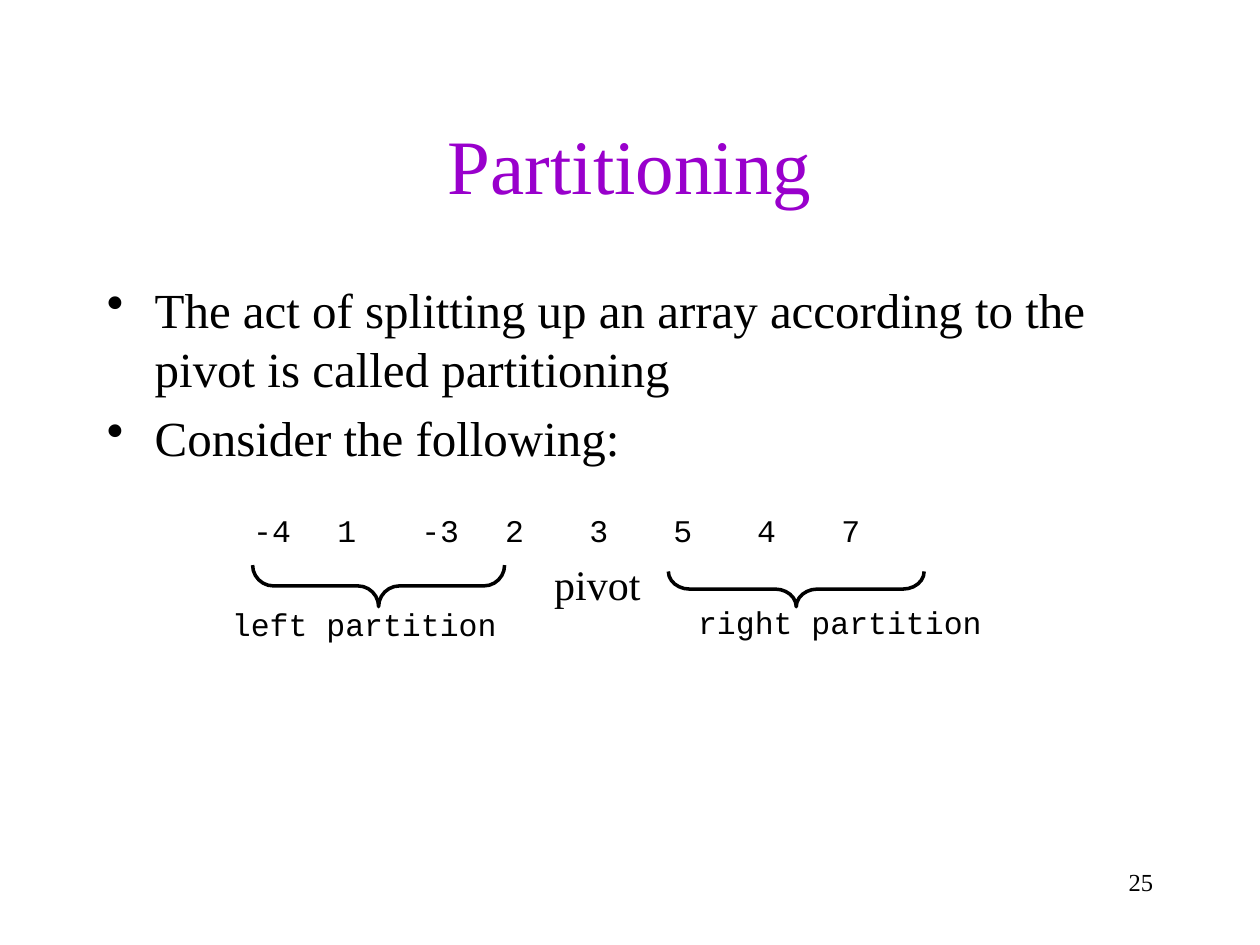
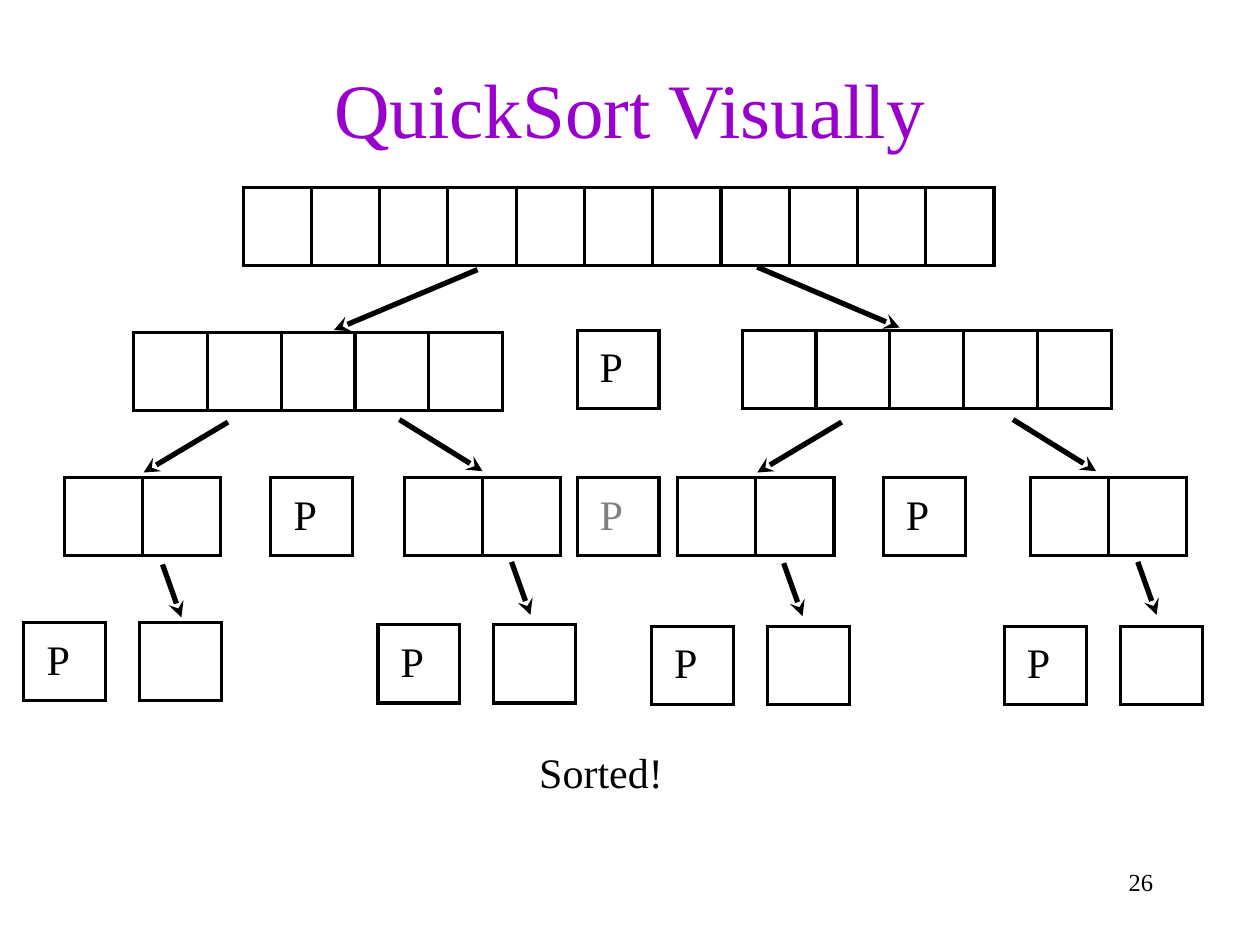
from typing import NamedTuple

from lxml.etree import SubElement
from pptx import Presentation
from pptx.dml.color import RGBColor
from pptx.enum.shapes import MSO_CONNECTOR, MSO_SHAPE
from pptx.enum.text import MSO_ANCHOR, PP_ALIGN
from pptx.oxml.ns import qn
from pptx.slide import Slide
from pptx.text.text import TextFrame
from pptx.util import Inches, Pt

BLACK, WHITE, PURPLE, GRAY = "000000", "FFFFFF", "9900CC", "808080"
SERIF, MONO = "Times New Roman", "Courier New"
CELL_HEIGHT = 0.62
PIVOT_WIDTH = 0.65


class TextStyle(NamedTuple):
    """Look of a text frame."""
    size: float
    font: str = SERIF
    color: str = BLACK
    align: PP_ALIGN = PP_ALIGN.LEFT
    anchor: MSO_ANCHOR = MSO_ANCHOR.MIDDLE
    inset: bool = False
    wrap: bool = True


class Strip(NamedTuple):
    """A row of equal array cells."""
    left: float
    top: float
    width: float
    cells: int


class Pivot(NamedTuple):
    """A single cell marked P."""
    left: float
    top: float
    color: str = BLACK


class Arrow(NamedTuple):
    """An arrow from a parent array to a part of it."""
    x1: float
    y1: float
    x2: float
    y2: float


class Brace(NamedTuple):
    """A downward brace, given by its unrotated frame."""
    left: float
    top: float
    width: float
    height: float
    curve: float


TITLE = TextStyle(44, color=PURPLE, align=PP_ALIGN.CENTER, inset=True)
BODY = TextStyle(28, anchor=MSO_ANCHOR.TOP, inset=True)
NUMBER = TextStyle(14, align=PP_ALIGN.RIGHT, anchor=MSO_ANCHOR.TOP, inset=True)
CODE = TextStyle(18, MONO)
LABEL = TextStyle(24)


def rgb(color: str) -> RGBColor:
    """Turn a hex string into a colour."""
    return RGBColor.from_string(color)


def fill_text(tf: TextFrame, text: str, style: TextStyle) -> None:
    """Write text, one paragraph a line, in the given style."""
    tf.text = text
    tf.word_wrap = style.wrap
    tf.vertical_anchor = style.anchor
    if not style.inset:
        tf.margin_left = tf.margin_right = tf.margin_top = tf.margin_bottom = 0
    for p in tf.paragraphs:
        p.alignment = style.align
        for r in p.runs:
            r.font.size = Pt(style.size)
            r.font.name = style.font
            r.font.color.rgb = rgb(style.color)


def add_text(s: Slide, text: str, left: float, top: float, width: float,
             height: float, style: TextStyle) -> TextFrame:
    """Add a text box."""
    sp = s.shapes.add_textbox(Inches(left), Inches(top), Inches(width), Inches(height))
    fill_text(sp.text_frame, text, style)
    return sp.text_frame


def add_bullets(s: Slide, items: list[str]) -> None:
    """Add the bulleted body text."""
    tf = add_text(s, "\n".join(items), 0.75, 2.17, 8.5, 4.5, BODY)
    for i, p in enumerate(tf.paragraphs):
        pPr = p._p.get_or_add_pPr()
        pPr.set("marL", str(Inches(0.38)))
        pPr.set("indent", str(-Inches(0.38)))
        SubElement(pPr, qn("a:buChar")).set("char", "•")
        if i:
            p.space_before = Pt(5.6)


def add_value(s: Slide, text: str, left: float, top: float, width: float,
              height: float) -> None:
    """Add one array value in a white-edged box."""
    sp = s.shapes.add_shape(MSO_SHAPE.RECTANGLE, Inches(left), Inches(top),
                            Inches(width), Inches(height))
    sp.shadow.inherit = False
    sp.fill.background()
    sp.line.color.rgb = rgb(WHITE)
    sp.line.width = Pt(1)
    fill_text(sp.text_frame, text, CODE)


def add_brace(s: Slide, brace: Brace) -> None:
    """Add a brace that points down."""
    sp = s.shapes.add_shape(MSO_SHAPE.LEFT_BRACE, Inches(brace.left), Inches(brace.top),
                            Inches(brace.width), Inches(brace.height))
    sp.rotation = 270
    sp.adjustments[0] = brace.curve
    sp.shadow.inherit = False
    sp.fill.background()
    sp.line.color.rgb = rgb(BLACK)
    sp.line.width = Pt(2)


def add_strip(s: Slide, strip: Strip) -> None:
    """Add a one-row table with black borders."""
    table = s.shapes.add_table(1, strip.cells, Inches(strip.left), Inches(strip.top),
                               Inches(strip.width), Inches(CELL_HEIGHT)).table
    table.first_row = table.horz_banding = False
    for cell in table.iter_cells():
        tcPr = cell._tc.get_or_add_tcPr()
        for side in ("L", "R", "T", "B"):
            ln = SubElement(tcPr, qn(f"a:ln{side}"), w=str(Pt(2)))
            solid = SubElement(ln, qn("a:solidFill"))
            SubElement(solid, qn("a:srgbClr"), val=BLACK)
        cell.fill.background()


def add_pivot(s: Slide, pivot: Pivot) -> None:
    """Add a pivot cell with its letter."""
    add_strip(s, Strip(pivot.left, pivot.top, PIVOT_WIDTH, 1))
    add_text(s, "P", pivot.left + 0.18, pivot.top + 0.02, 0.3, 0.53,
             LABEL._replace(color=pivot.color))


def add_arrow(s: Slide, arrow: Arrow) -> None:
    """Add a thick stealth arrow."""
    line = s.shapes.add_connector(MSO_CONNECTOR.STRAIGHT, Inches(arrow.x1), Inches(arrow.y1),
                                  Inches(arrow.x2), Inches(arrow.y2))
    line.line.color.rgb = rgb(BLACK)
    line.line.width = Pt(3)
    spPr = line._element.spPr
    SubElement(spPr.find(qn("a:ln")), qn("a:tailEnd"), type="stealth")
    SubElement(spPr, qn("a:effectLst"))


def add_slide(prs: Presentation, title: str, title_top: float, number: int) -> Slide:
    """Add a blank slide with its title and number."""
    s = prs.slides.add_slide(prs.slide_layouts[6])
    add_text(s, title, 0.75, title_top, 8.5, 1.25, TITLE)
    add_text(s, str(number), 7.17, 6.83, 2.08, 0.5, NUMBER)
    return s


def build_partitioning(prs: Presentation) -> None:
    """Build the slide that explains partitioning."""
    s = add_slide(prs, "Partitioning", 0.67, 25)
    add_bullets(s, ["The act of splitting up an array according to the pivot is called partitioning",
                    "Consider the following:"])
    step = 2 / 3
    for i, value in enumerate((-4, 1, -3, 2, 3, 5, 4, 7)):
        add_value(s, str(value), 2.01 + i * step, 4.01, step, 0.39)
    for brace in (Brace(2.84, 3.65, 0.33, 2, 0.5), Brace(6.18, 3.66, 0.28, 2.03, 0.6)):
        add_brace(s, brace)
    add_text(s, "left partition", 1.84, 4.77, 2.42, 0.36, CODE)
    add_text(s, "right partition", 5.54, 4.76, 2.58, 0.36, CODE)
    add_text(s, "pivot", 4.3, 4.38, 0.89, 0.51, LABEL._replace(inset=True, wrap=False))


def build_quicksort(prs: Presentation) -> None:
    """Build the slide that draws the sort as a tree."""
    s = add_slide(prs, "QuickSort Visually", 0.23, 26)
    leaves = [(0.19, 4.94), (3, 4.96), (5.17, 4.97), (7.97, 4.97)]
    strips = [Strip(1.93, 1.49, 5.96, 11), Strip(1.06, 2.64, 2.93, 5), Strip(5.89, 2.62, 2.93, 5)]
    strips += [Strip(x, 3.79, 1.24, 2) for x in (0.51, 3.21, 5.38, 8.18)]
    strips += [Strip(x + 0.92, y, PIVOT_WIDTH, 1) for x, y in leaves]
    pivots = [Pivot(4.58, 2.62), Pivot(2.15, 3.79), Pivot(4.58, 3.79, GRAY), Pivot(7.01, 3.79)]
    pivots += [Pivot(x, y) for x, y in leaves]
    arrows = [Arrow(3.79, 2.14, 2.65, 2.62), Arrow(6.01, 2.12, 7.14, 2.6)]
    for dx in (0, 4.87):
        arrows += [Arrow(1.81 + dx, 3.35, 1.14 + dx, 3.75), Arrow(3.17 + dx, 3.33, 3.83 + dx, 3.74)]
    arrows += [Arrow(x, y, x + 0.15, y + 0.42)
               for x, y in ((1.29, 4.48), (4.06, 4.46), (6.22, 4.47), (9.03, 4.46))]
    for strip in strips:
        add_strip(s, strip)
    for pivot in pivots:
        add_pivot(s, pivot)
    for arrow in arrows:
        add_arrow(s, arrow)
    add_text(s, "Sorted!", 4.28, 5.86, 1.27, 0.53, LABEL)


def main() -> None:
    """Build and save the presentation."""
    prs = Presentation()
    prs.slide_width, prs.slide_height = Inches(10), Inches(7.5)
    build_partitioning(prs)
    build_quicksort(prs)
    prs.save("out.pptx")


if __name__ == "__main__":
    main()
